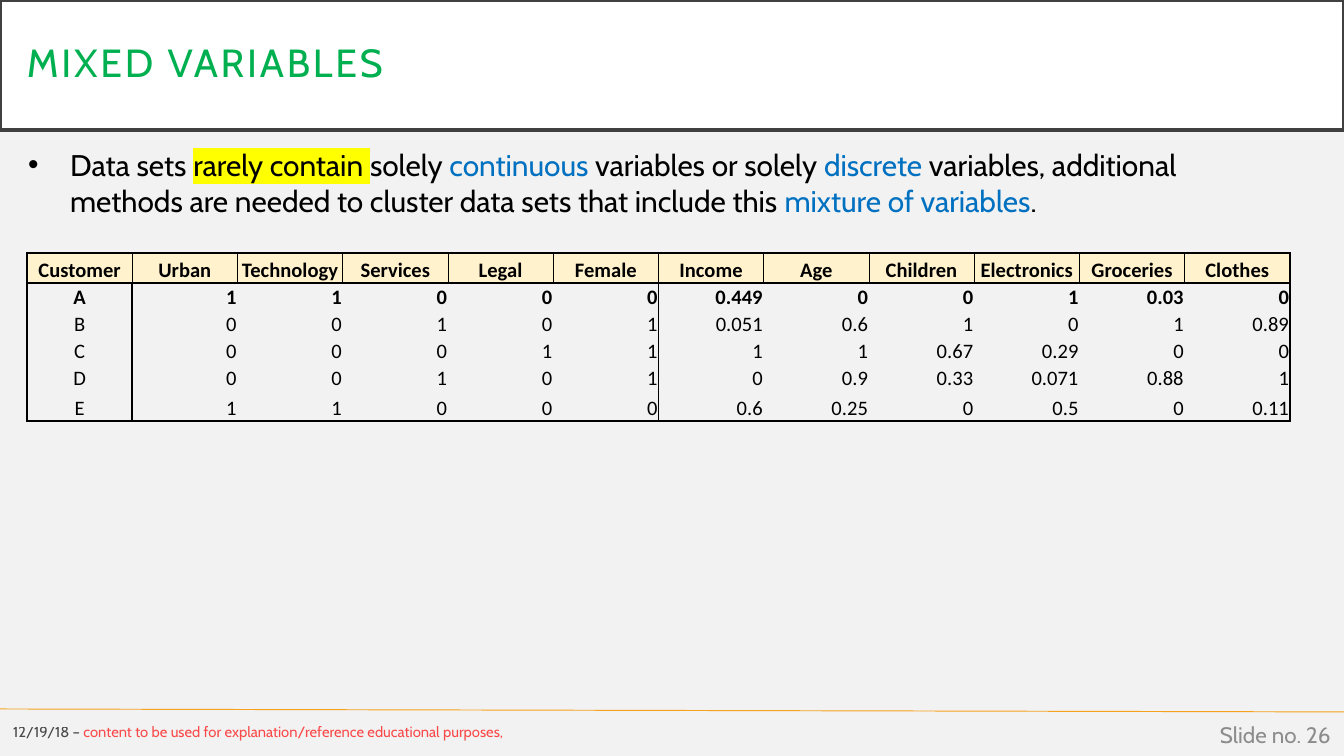
from dataclasses import dataclass

from lxml import etree
from pptx import Presentation
from pptx import util as u
from pptx.dml.color import RGBColor
from pptx.enum import shapes, text
from pptx.oxml.ns import qn

EMU_PER_PX = 914400 / 134.4


@dataclass(frozen=True)
class Theme:
    background: str = "F2F2F2"
    panel: str = "FFFFFF"
    frame: str = "404040"
    title: str = "00B050"
    ink: str = "000000"
    accent: str = "0070C0"
    marker: str = "FFFF00"
    rule: str = "F6A21D"
    notice: str = "FF0000"
    muted: str = "8C8C8C"
    header: str = "FFF2CC"
    font: str = "Cabin"
    table_font: str = "Calibri"
    title_size: float = 21
    body_size: float = 16
    number_size: float = 12
    table_size: float = 11
    footer_size: float = 7.9


THEME = Theme()

STATEMENT = [
    ("Data sets ", THEME.ink, None),
    ("rarely contain ", THEME.ink, THEME.marker),
    ("solely ", THEME.ink, None),
    ("continuous", THEME.accent, None),
    (" variables or solely ", THEME.ink, None),
    ("discrete", THEME.accent, None),
    (" variables, additional methods are needed to cluster data sets "
     "that include this ", THEME.ink, None),
    ("mixture of variables", THEME.accent, None),
    (".", THEME.ink, None),
]

CUSTOMERS = [
    ["Customer", "Urban", "Technology", "Services", "Legal", "Female",
     "Income", "Age", "Children", "Electronics", "Groceries", "Clothes"],
    ["A", "1", "1", "0", "0", "0", "0.449", "0", "0", "1", "0.03", "0"],
    ["B", "0", "0", "1", "0", "1", "0.051", "0.6", "1", "0", "1", "0.89"],
    ["C", "0", "0", "0", "1", "1", "1", "1", "0.67", "0.29", "0", "0"],
    ["D", "0", "0", "1", "0", "1", "0", "0.9", "0.33", "0.071", "0.88", "1"],
    ["E", "1", "1", "0", "0", "0", "0.6", "0.25", "0", "0.5", "0", "0.11"],
]
ROW_HEIGHTS = [30, 27, 27, 27, 27, 30]
GROUP_STARTS = (0, 1, 6)  # customer, binary and continuous columns


def px(length):
    return u.Emu(round(length * EMU_PER_PX))


def rgb(value):
    return RGBColor.from_string(value)


def style(font, size, color=None, name=THEME.font, bold=None):
    font.name, font.size, font.bold = name, u.Pt(size), bold
    if color:
        font.color.rgb = rgb(color)


def add_run(paragraph, words, color, highlight=None, alpha=None):
    run = paragraph.add_run()
    run.text = words
    run.font.color.rgb = rgb(color)
    fill = run.font._element.find(qn("a:solidFill"))
    if alpha:
        etree.SubElement(fill[0], qn("a:alpha"), val=str(alpha * 1000))
    if highlight:
        marker = etree.Element(qn("a:highlight"))
        etree.SubElement(marker, qn("a:srgbClr"), val=highlight)
        fill.addnext(marker)


def add_text_box(slide, left, top, width, height, size,
                 anchor=text.MSO_ANCHOR.MIDDLE):
    box = slide.shapes.add_textbox(px(left), px(top), px(width), px(height))
    box.text_frame.word_wrap = True
    box.text_frame.vertical_anchor = anchor
    paragraph = box.text_frame.paragraphs[0]
    style(paragraph.font, size)
    return paragraph


def add_title(slide, words):
    banner = slide.shapes.add_shape(
        shapes.MSO_SHAPE.RECTANGLE, 0, 0, px(1344), px(130))
    banner.shadow.inherit = False
    banner.fill.solid()
    banner.fill.fore_color.rgb = rgb(THEME.panel)
    banner.line.color.rgb = rgb(THEME.frame)
    banner.line.width = u.Pt(2.5)
    frame = banner.text_frame
    frame.margin_left = frame.margin_right = px(27)
    frame.margin_top = frame.margin_bottom = px(27)
    frame.vertical_anchor = text.MSO_ANCHOR.MIDDLE
    title = frame.paragraphs[0]
    title.alignment = text.PP_ALIGN.LEFT
    title.line_spacing = 0.9
    style(title.font, THEME.title_size)
    add_run(title, words, THEME.title)
    title.runs[0].font._element.set("spc", "150")


def add_statement(slide):
    bullet = add_text_box(slide, 15, 140, 1288, 159, THEME.body_size,
                          text.MSO_ANCHOR.TOP)
    properties = bullet._p.get_or_add_pPr()
    properties.set("marL", str(px(42)))
    properties.set("indent", str(px(-42)))
    mark = etree.Element(qn("a:buChar"), char="•")
    properties.insert(0, mark)
    bullet_font = etree.Element(qn("a:buFont"), typeface="Arial")
    mark.addprevious(bullet_font)
    for words, color, highlight in STATEMENT:
        add_run(bullet, words, color, highlight)


def set_borders(cell, widths):
    """Draw the left, right, top and bottom edges; zero means no line."""
    properties = cell._tc.get_or_add_tcPr()
    for position, (side, width) in enumerate(zip("LRTB", widths)):
        edge = etree.Element(qn(f"a:ln{side}"), w=str(u.Pt(width)))
        if width:
            fill = etree.SubElement(edge, qn("a:solidFill"))
            etree.SubElement(fill, qn("a:srgbClr"), val=THEME.ink)
        else:
            etree.SubElement(edge, qn("a:noFill"))
        properties.insert(position, edge)


def border_widths(row, column, last_row, last_column):
    inner = 0.5 if row == 0 else 0
    starts = (0,) if row == 0 else GROUP_STARTS
    left = 1 if column in starts else inner
    right = 1 if column == last_column or column + 1 in starts else inner
    return left, right, int(row <= 1), int(row in (0, last_row))


def fill_cell(cell, words, is_header, is_bold, is_centered):
    cell.margin_left = cell.margin_right = cell.margin_top = px(1)
    cell.margin_bottom = 0
    cell.vertical_anchor = text.MSO_ANCHOR.BOTTOM
    if is_header:
        cell.fill.solid()
        cell.fill.fore_color.rgb = rgb(THEME.header)
    else:
        cell.fill.background()
    paragraph = cell.text_frame.paragraphs[0]
    paragraph.text = words
    paragraph.alignment = (
        text.PP_ALIGN.CENTER if is_centered else text.PP_ALIGN.RIGHT)
    style(paragraph.font, THEME.table_size, THEME.ink, THEME.table_font, is_bold)


def add_customer_table(slide):
    last_row, last_column = len(CUSTOMERS) - 1, len(CUSTOMERS[0]) - 1
    width = px(1263)
    table = slide.shapes.add_table(
        last_row + 1, last_column + 1, px(27), px(253),
        width, px(sum(ROW_HEIGHTS))).table
    table.first_row = table.horz_banding = False
    for column in table.columns:
        column.width = width // (last_column + 1)
    for r, values in enumerate(CUSTOMERS):
        table.rows[r].height = px(ROW_HEIGHTS[r])
        for c, value in enumerate(values):
            cell = table.cell(r, c)
            fill_cell(cell, value, r == 0, r <= 1, r == 0 or c == 0)
            set_borders(cell, border_widths(r, c, last_row, last_column))


def add_footer(slide):
    number = add_text_box(slide, 1042, 715, 302, 40, THEME.number_size)
    number.alignment = text.PP_ALIGN.RIGHT
    add_run(number, "Slide no. 26", THEME.muted)
    notice = add_text_box(slide, 0, 714, 570, 36, THEME.footer_size)
    add_run(notice, "12/19/18 – ", THEME.ink, alpha=70)
    add_run(notice, "content to be used for explanation/reference "
            "educational purposes,", THEME.notice, alpha=70)


def add_footer_rule(slide):
    rule = slide.shapes.add_connector(
        shapes.MSO_CONNECTOR.STRAIGHT, 0, px(709), px(1344), px(712))
    rule.line.color.rgb = rgb(THEME.rule)
    rule.line.width = u.Pt(0.5)
    etree.SubElement(rule._element.spPr, qn("a:effectLst"))


def main():
    deck = Presentation()
    deck.slide_width, deck.slide_height = px(1344), px(756)
    slide = deck.slides.add_slide(deck.slide_layouts[6])
    slide.background.fill.solid()
    slide.background.fill.fore_color.rgb = rgb(THEME.background)
    # Frame of the slide
    add_footer_rule(slide)
    add_title(slide, "MIXED VARIABLES")
    add_footer(slide)
    # Content
    add_statement(slide)
    add_customer_table(slide)
    deck.save("out.pptx")


if __name__ == "__main__":
    main()
